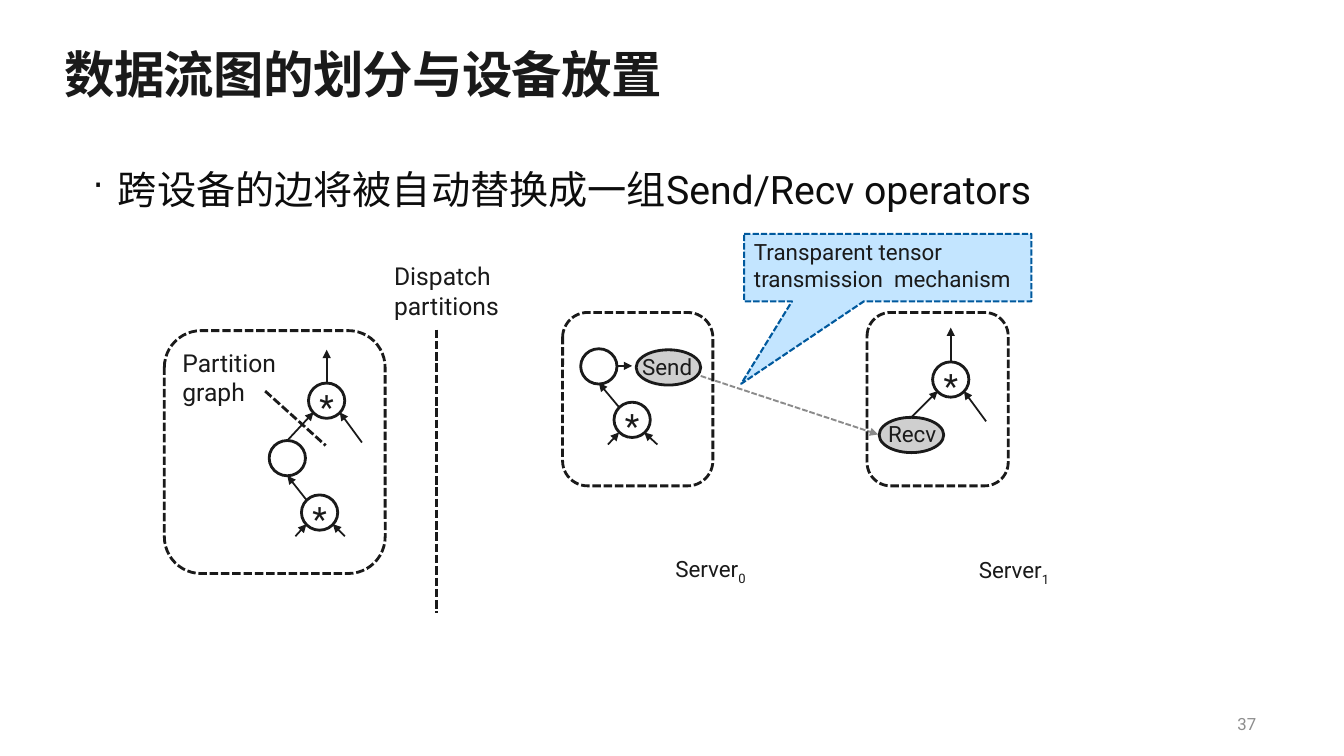
import dataclasses
import typing

import lxml.etree
import pptx
import pptx.dml.color
import pptx.enum.dml
import pptx.enum.lang
import pptx.enum.shapes
import pptx.enum.text
import pptx.oxml.ns
import pptx.util

# Grid: one cell is a tenth of an inch, on 133.3 columns and 75 rows
CELL = pptx.util.Inches(0.1)
COLS, ROWS = 133.3, 75
FONT = "Roboto"
HUES = {"ink": "1A1A1A", "body": "0D0D0D", "page": "8D8D8D", "pill": "CFCFCF",
        "note": "C3E5FF", "edge": "00599D", "wire": "191919"}
KIND = pptx.enum.shapes.MSO_SHAPE
ALIGN = pptx.enum.text.PP_ALIGN
ANCHOR = pptx.enum.text.MSO_ANCHOR
ROUND = (3.6, 3.5)
PILL = (6.4, 3.5)


@dataclasses.dataclass
class Node:
    x: float
    y: float
    star: bool = False


@dataclasses.dataclass
class Pill:
    x: float
    y: float
    name: str
    wide: float
    shift: float


@dataclasses.dataclass
class Link:
    x1: float
    y1: float
    x2: float
    y2: float
    hue: str = "ink"
    width: float = 1.25
    dash: bool = False
    arrow: bool = True
    alpha: int = 100


@dataclasses.dataclass
class Panel:
    x: float
    y: float
    w: float
    h: float


NODES = [Node(30.6, 38, True), Node(29.9, 49.1, True), Node(26.7, 43.7),
         Node(92.5, 35.9, True), Node(60.9, 39.9, True), Node(57.6, 34.6)]
PILLS = [Pill(63.1, 34.7, "Send", 8.2, 0.4), Pill(87.2, 41.4, "Recv", 7.3, 0.1)]
PANELS = [Panel(16.3, 32.8, 21.9, 24.1), Panel(55.8, 31, 14.9, 17.2),
          Panel(86, 31, 14, 17.2)]
LINKS = [
    # Whole graph
    Link(29.3, 53.2, 30.4, 52), Link(34.2, 53.2, 33, 52), Link(30.4, 49.6, 28.5, 47.2),
    Link(28.5, 43.7, 31.1, 40.9), Link(35.9, 43.9, 33.7, 40.9), Link(32.4, 38, 32.4, 34.7),
    # Server 0
    Link(60.3, 44.1, 61.4, 42.9), Link(65.2, 44.1, 63.9, 42.9),
    Link(61.4, 40.4, 59.4, 38), Link(61.3, 36.3, 62.7, 36.3),
    # Server 1
    Link(97.8, 41.8, 95.6, 38.8), Link(94.3, 35.9, 94.3, 32.5), Link(90.4, 41.4, 93, 38.8),
    # Cuts and the wire between servers
    Link(26.3, 38.8, 32.3, 44.2, width=2, dash=True, arrow=False),
    Link(43.3, 32.7, 43.3, 60.8, width=2, dash=True, arrow=False),
    Link(69.5, 37.3, 87.1, 43.1, hue="wire", width=1.35, dash=True, alpha=50),
]


def cells(*spans: float) -> list[int]:
    return [round(span * CELL) for span in spans]


def tint(hue: str) -> pptx.dml.color.RGBColor:
    return pptx.dml.color.RGBColor.from_string(HUES[hue])


def add(host: typing.Any, tag: str, **attrs: str) -> typing.Any:
    return lxml.etree.SubElement(host, pptx.oxml.ns.qn(tag), attrs)


def write(frame: typing.Any, text: str, *, size: float = 16, hue: str = "ink",
          bold: bool = False, align: typing.Any = ALIGN.LEFT, anchor: typing.Any = ANCHOR.TOP,
          flush: bool = False, space: float = 0, pitch: float = 1, sub: str = "",
          left: float = 0, bullet: str = "", han: bool = False) -> None:
    """Fill a frame, one paragraph for each line of text."""
    frame.word_wrap = True
    frame.auto_size = pptx.enum.text.MSO_AUTO_SIZE.NONE
    frame.vertical_anchor = anchor
    if flush:
        frame.margin_left = frame.margin_right = frame.margin_top = frame.margin_bottom = 0
    for index, line in enumerate(text.split("\n")):
        para = frame.add_paragraph() if index else frame.paragraphs[0]
        para.alignment, para.line_spacing = align, pitch
        props = para._p.get_or_add_pPr()
        if left:
            props.set("marL", str(cells(left)[0]))
        if bullet:
            props.set("indent", str(-cells(left)[0]))
            add(props, "a:buSzPct", val="90000")
            add(props, "a:buChar", char=bullet)
        for part in filter(None, (line, sub)):
            run = para.add_run()
            run.text = part
            run.font.name, run.font.size = FONT, pptx.util.Pt(size)
            run.font.bold = bold
            run.font.color.rgb = tint(hue)
            if han:
                run.font.language_id = pptx.enum.lang.MSO_LANGUAGE_ID.SIMPLIFIED_CHINESE
            if space:
                run._r.get_or_add_rPr().set("spc", str(round(space * 100)))
            if part == sub:
                run._r.get_or_add_rPr().set("baseline", "-25000")


def label(slide: typing.Any, x: float, y: float, w: float, h: float,
          text: str, **style: typing.Any) -> None:
    write(slide.shapes.add_textbox(*cells(x, y, w, h)).text_frame, text, **style)


def stroke(line: typing.Any, hue: str, width: float, dash: bool) -> None:
    line.color.rgb = tint(hue)
    line.width = pptx.util.Pt(width)
    if dash:
        line.dash_style = pptx.enum.dml.MSO_LINE.SQUARE_DOT


def draw(slide: typing.Any, kind: typing.Any, x: float, y: float, w: float, h: float,
         fill: str = "", hue: str = "ink", width: float = 2, dash: bool = False) -> typing.Any:
    shape = slide.shapes.add_shape(kind, *cells(x, y, w, h))
    shape.shadow.inherit = False
    if fill:
        shape.fill.solid()
        shape.fill.fore_color.rgb = tint(fill)
    else:
        shape.fill.background()
    stroke(shape.line, hue, width, dash)
    return shape


def join(slide: typing.Any, link: Link) -> None:
    wire = slide.shapes.add_connector(pptx.enum.shapes.MSO_CONNECTOR.STRAIGHT,
                                      *cells(link.x1, link.y1, link.x2, link.y2))
    stroke(wire.line, link.hue, link.width, link.dash)
    line = wire.line._get_or_add_ln()
    if link.alpha < 100:
        add(line.find(".//" + pptx.oxml.ns.qn("a:srgbClr")), "a:alpha",
            val=str(link.alpha * 1000))
    if link.arrow:
        add(line, "a:tailEnd", type="triangle")
    add(wire._element.spPr, "a:effectLst")


def main() -> None:
    deck = pptx.Presentation()
    deck.slide_width, deck.slide_height = cells(COLS, ROWS)
    slide = deck.slides.add_slide(deck.slide_layouts[5])

    # Title, bullet and page number
    title = slide.shapes.title
    title.left, title.top, title.width, title.height = cells(6.4, 5, 120.5, 6.1)
    write(title.text_frame, "数据流图的划分与设备放置", size=36, bold=True, flush=True,
          space=-0.5, pitch=0.9, han=True)
    label(slide, 9.2, 16.9, 116.7, 4.7, "跨设备的边将被自动替换成一组Send/Recv operators",
          size=28, hue="body", flush=True, pitch=0.9, left=2.5, bullet="·", han=True)
    label(slide, 95.6, 69.8, 30, 4, "37", size=12, hue="page", align=ALIGN.RIGHT,
          anchor=ANCHOR.MIDDLE)

    # Graph
    for panel in PANELS:
        draw(slide, KIND.ROUNDED_RECTANGLE, panel.x, panel.y, panel.w, panel.h, dash=True)
    for link in LINKS:
        join(slide, link)
    for node in NODES:
        draw(slide, KIND.OVAL, node.x, node.y, *ROUND)
        if node.star:
            label(slide, node.x - 0.8, node.y - 0.2, 5.2, 5, "*", size=24, align=ALIGN.CENTER)
    for pill in PILLS:
        draw(slide, KIND.OVAL, pill.x, pill.y, *PILL, fill="pill")
        label(slide, pill.x - pill.shift, pill.y - 0.2, pill.wide, 3.7, pill.name)

    # Labels
    label(slide, 17.1, 34, 12.1, 7.1, "Partition graph", size=17.6)
    label(slide, 38.1, 25.4, 13.3, 7.1, "Dispatch\npartitions", size=17.6)
    label(slide, 66, 54.6, 10.6, 3.7, "Server", sub="0")
    label(slide, 96.1, 54.7, 10.6, 3.7, "Server", sub="1")

    # Callout
    note = draw(slide, KIND.RECTANGULAR_CALLOUT, 73.8, 23.2, 28.5, 6.7,
                fill="note", hue="edge", width=1.5, dash=True)
    note.adjustments[0], note.adjustments[1] = -0.51, 1.72
    label(slide, 72.7, 23.1, 30.3, 6.4, "Transparent tensor transmission  mechanism", left=1.1)

    deck.save("out.pptx")


if __name__ == "__main__":
    main()
